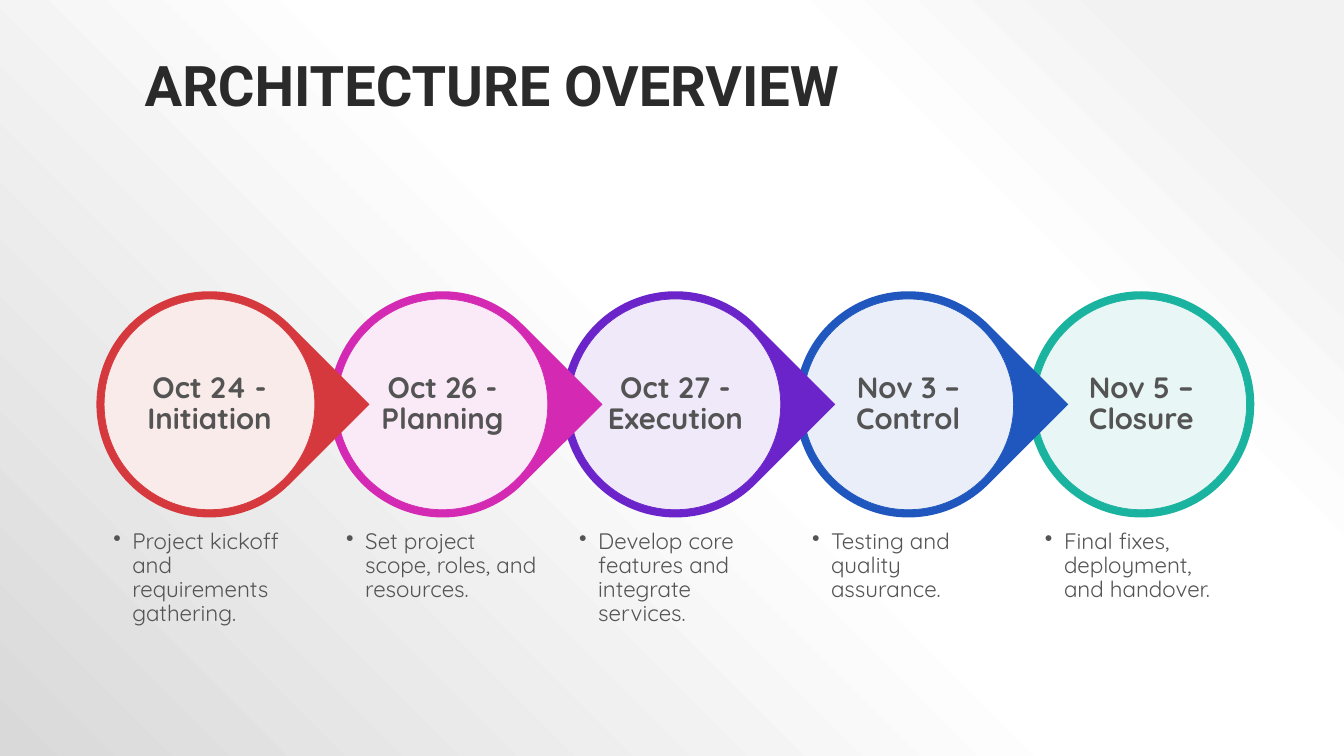
from dataclasses import dataclass

from lxml.etree import SubElement
from pptx import Presentation
from pptx.dml.color import RGBColor
from pptx.enum.shapes import MSO_SHAPE
from pptx.enum.text import MSO_ANCHOR, MSO_AUTO_SIZE, PP_ALIGN
from pptx.oxml import parse_xml
from pptx.oxml.ns import nsdecls, qn
from pptx.slide import Slide
from pptx.text.text import TextFrame
from pptx.util import Cm, Pt


@dataclass(frozen=True)
class Phase:
    label: str
    note: str
    color: str


PHASES = [
    Phase("Oct 24 - Initiation", "Project kickoff and requirements gathering.", "D5393D"),
    Phase("Oct 26 - Planning", "Set project scope, roles, and resources.", "D429B3"),
    Phase("Oct 27 - Execution", "Develop core features and integrate services.", "6A24CA"),
    Phase("Nov 3 – Control", "Testing and quality assurance.", "1F57BF"),
    Phase("Nov 5 – Closure", "Final fixes, deployment, and handover.", "1AB39F"),
]
BACKGROUND_STOPS = [(10, "F2F2F2"), (28, "FFFFFF"), (48, "FFFFFF"), (100, "D9D9D9")]
FIRST_CENTER, CENTER_Y, PITCH = 5.28, 10.19, 5.87
RING, DISC, LABEL = 5.7, 5.31, 3.78
NOTE_TOP, NOTE_HEIGHT = 13.13, 3.12
TEXT_COLOR = "545454"


def rgb(color: str) -> RGBColor:
    return RGBColor.from_string(color)


def set_background(s: Slide) -> None:
    s.background.fill.solid()
    bg = s.element.find(".//" + qn("p:bgPr"))
    stops = "".join(
        f'<a:gs pos="{pos * 1000}"><a:srgbClr val="{color}"/></a:gs>'
        for pos, color in BACKGROUND_STOPS
    )
    gradient = parse_xml(
        f'<a:gradFill {nsdecls("a")} rotWithShape="1"><a:gsLst>{stops}</a:gsLst>'
        '<a:path path="circle"><a:fillToRect l="100000" b="100000"/></a:path>'
        '<a:tileRect t="-100000" r="-100000"/></a:gradFill>'
    )
    bg.replace(bg[0], gradient)


def write(tf: TextFrame, text: str, font: str, size: float, color: str,
          bold: bool, align: PP_ALIGN, anchor: MSO_ANCHOR) -> None:
    tf.word_wrap = True
    tf.auto_size = MSO_AUTO_SIZE.NONE
    tf.vertical_anchor = anchor
    p = tf.paragraphs[0]
    p.alignment = align
    p.line_spacing = 0.9
    r = p.add_run()
    r.text = text
    r.font.name = font
    r.font.size = Pt(size)
    r.font.bold = bold
    r.font.color.rgb = rgb(color)


def add_title(s: Slide, text: str) -> None:
    sp = s.shapes.title
    sp.left, sp.top, sp.width, sp.height = Cm(3.39), Cm(0.76), Cm(27.09), Cm(2.36)
    write(sp.text_frame, text, "Roboto", 40, "2A2A2A", True, PP_ALIGN.LEFT, MSO_ANCHOR.BOTTOM)


def add_round(s: Slide, kind: MSO_SHAPE, center: float, size: float, color: str):
    sp = s.shapes.add_shape(kind, Cm(center - size / 2), Cm(CENTER_Y - size / 2),
                            Cm(size), Cm(size))
    sp.shadow.inherit = False
    sp.fill.solid()
    sp.fill.fore_color.rgb = rgb(color)
    return sp


def add_box(s: Slide, center: float, top: float, width: float, height: float,
            inset: float) -> TextFrame:
    tf = s.shapes.add_textbox(Cm(center - width / 2), Cm(top), Cm(width), Cm(height)).text_frame
    tf.margin_left = tf.margin_top = tf.margin_right = tf.margin_bottom = Cm(inset)
    return tf


def add_bullet(tf: TextFrame) -> None:
    pPr = tf.paragraphs[0]._p.get_or_add_pPr()
    pPr.set("marL", str(Cm(0.48)))
    pPr.set("indent", str(-Cm(0.48)))
    SubElement(pPr, qn("a:buChar")).set("char", "•")


def add_phase(s: Slide, phase: Phase, center: float, last: bool) -> None:
    kind = MSO_SHAPE.OVAL if last else MSO_SHAPE.TEAR
    ring = add_round(s, kind, center, RING, phase.color)
    ring.line.fill.background()
    if not last:
        ring.adjustments[0] = 1
        ring.rotation = 45

    disc = add_round(s, MSO_SHAPE.OVAL, center, DISC, "FFFFFF")
    disc.line.color.rgb = rgb(phase.color)
    disc.line.width = Pt(0.5)
    white = disc.fill._xPr.find(qn("a:solidFill"))[0]
    SubElement(white, qn("a:alpha")).set("val", "90000")

    tf = add_box(s, center, CENTER_Y - LABEL / 2, LABEL, LABEL, 0.07)
    write(tf, phase.label, "Quicksand", 21, TEXT_COLOR, True, PP_ALIGN.CENTER, MSO_ANCHOR.MIDDLE)

    tf = add_box(s, center, NOTE_TOP, DISC, NOTE_HEIGHT, 0.23)
    add_bullet(tf)
    write(tf, phase.note, "Quicksand", 16, TEXT_COLOR, False, PP_ALIGN.LEFT, MSO_ANCHOR.TOP)


def main() -> None:
    prs = Presentation()
    prs.slide_width, prs.slide_height = Cm(33.87), Cm(19.05)
    s = prs.slides.add_slide(prs.slide_layouts[5])
    set_background(s)
    add_title(s, "ARCHITECTURE OVERVIEW")
    last = len(PHASES) - 1
    for i, phase in reversed(list(enumerate(PHASES))):
        add_phase(s, phase, FIRST_CENTER + i * PITCH, i == last)
    prs.save("out.pptx")


if __name__ == "__main__":
    main()
